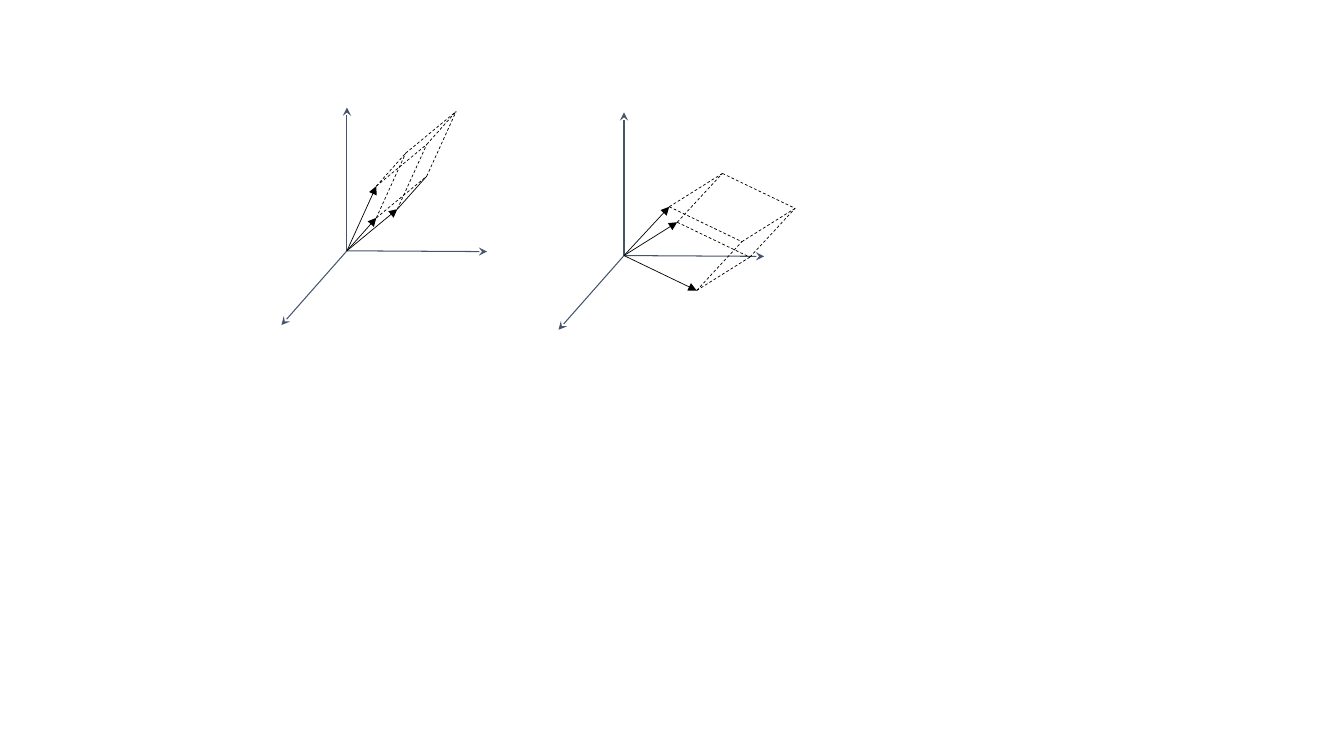
from itertools import combinations, permutations

from lxml.etree import SubElement
from pptx import Presentation
from pptx.dml.color import RGBColor
from pptx.enum.dml import MSO_LINE
from pptx.enum.shapes import MSO_CONNECTOR
from pptx.oxml.ns import qn
from pptx.util import Cm, Inches, Pt

COLORS = {"axis": "44546A", "vector": "000000"}
AXES = [(3.53, 0.02), (0, -3.61), (-1.65, 1.87)]


def add(*points):
    """Return the sum of plane vectors."""
    return tuple(map(sum, zip(*points)))


class VectorSlide:
    """Holds the line style and the current slide."""

    def __init__(self, prs):
        """Start on a blank slide."""
        self.s = prs.slides.add_slide(prs.slide_layouts[6])

    def line(self, start, end, color="vector", width=0.5, tip=None, dash=None):
        """Draw a line in centimetres, with an optional tip or dash."""
        ends = [Cm(v) for v in (*start, *end)]
        sp = self.s.shapes.add_connector(MSO_CONNECTOR.STRAIGHT, *ends)
        sp.line.color.rgb = RGBColor.from_string(COLORS[color])
        sp.line.width = Pt(width)
        if dash:
            sp.line.dash_style = dash
        if tip:
            SubElement(sp.line._get_or_add_ln(), qn("a:tailEnd"), type=tip)
        SubElement(sp._element.spPr, qn("a:effectLst"))

    def axes(self, origin):
        """Draw the three coordinate axes."""
        for axis in AXES:
            self.line(origin, add(origin, axis), "axis", 0.75, "stealth")

    def parallelepiped(self, origin, vectors, solid=()):
        """Draw three vectors and the remaining edges of their solid."""
        for v in vectors:
            self.line(origin, add(origin, v), tip="triangle")
        for i, j in permutations(range(3), 2):
            corner = add(origin, vectors[i])
            dash = None if (i, j) == solid else MSO_LINE.DASH
            self.line(corner, add(corner, vectors[j]), dash=dash)
        far = add(origin, *vectors)
        for u, v in combinations(vectors, 2):
            self.line(add(origin, u, v), far, dash=MSO_LINE.DASH)


def main():
    """Build the slide with both parallelepipeds."""
    prs = Presentation()
    prs.slide_width, prs.slide_height = Inches(13.33), Inches(7.5)
    slide = VectorSlide(prs)
    figures = [
        ((8.74, 6.32), [(0.74, -1.63), (0.74, -0.83), (1.27, -1.05)], (2, 1)),
        ((15.72, 6.44), [(1.14, -1.23), (1.34, -0.84), (1.83, 0.88)], ()),
    ]
    for origin, vectors, solid in figures:
        slide.axes(origin)
        slide.parallelepiped(origin, vectors, solid)
    prs.save("out.pptx")


if __name__ == "__main__":
    main()
